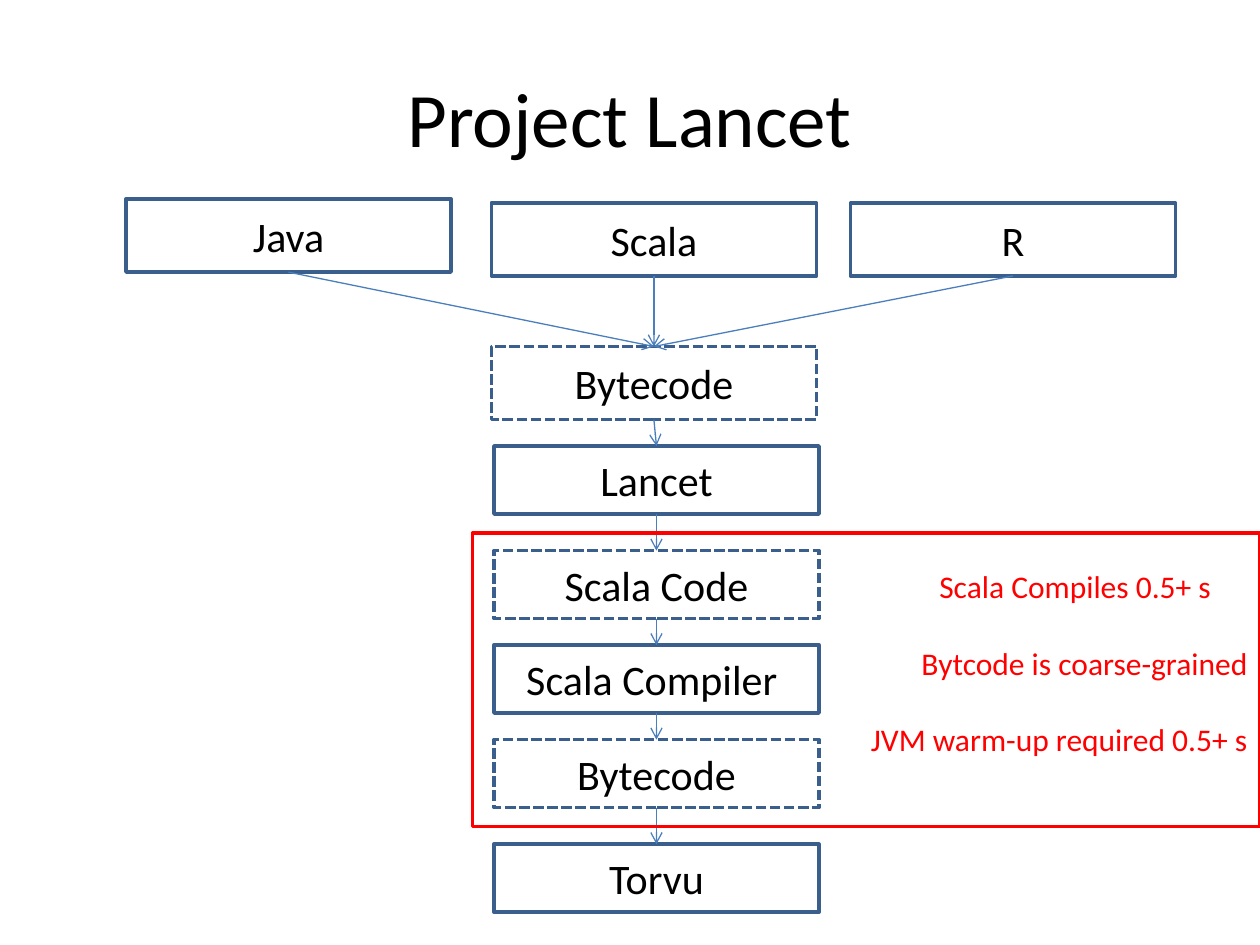
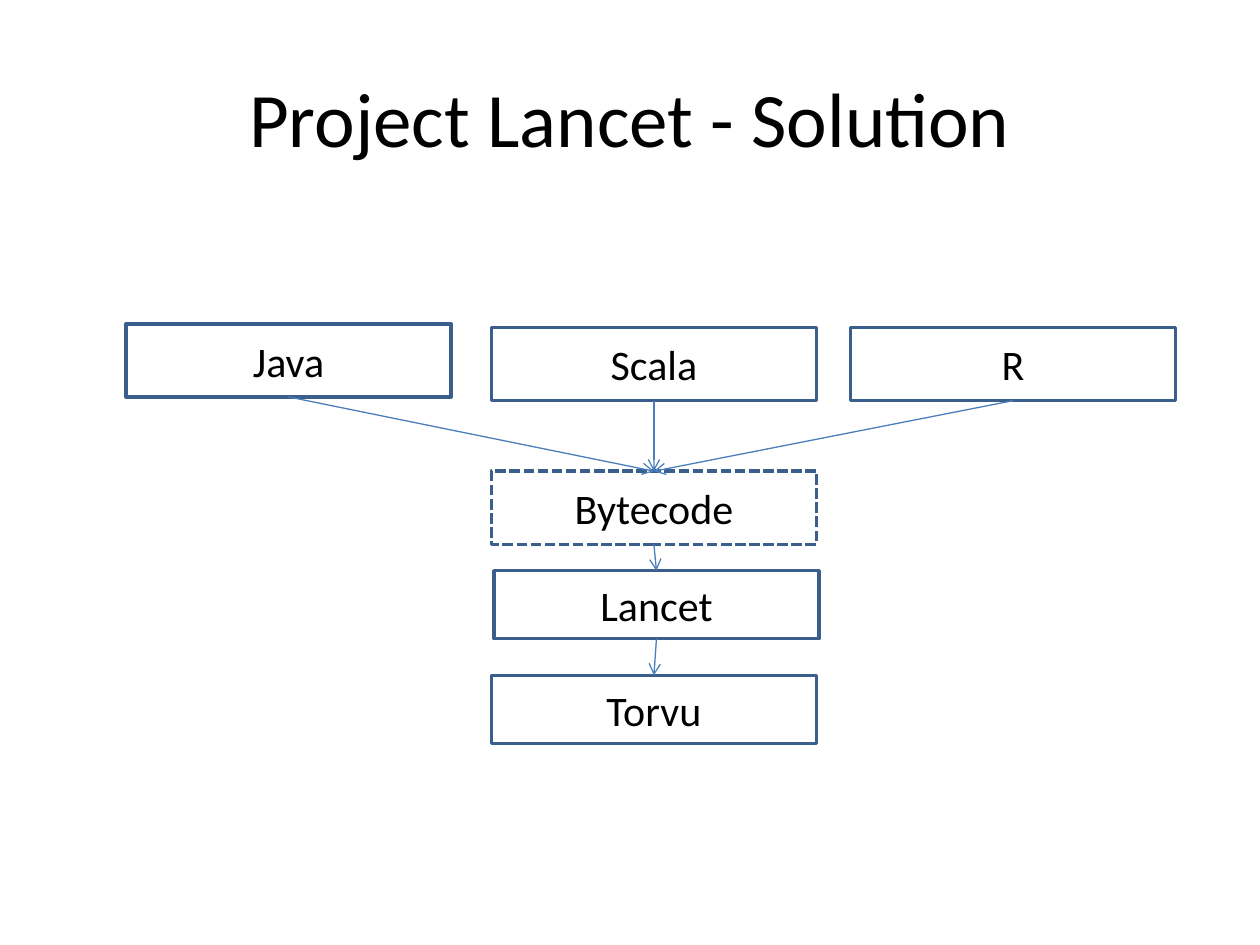
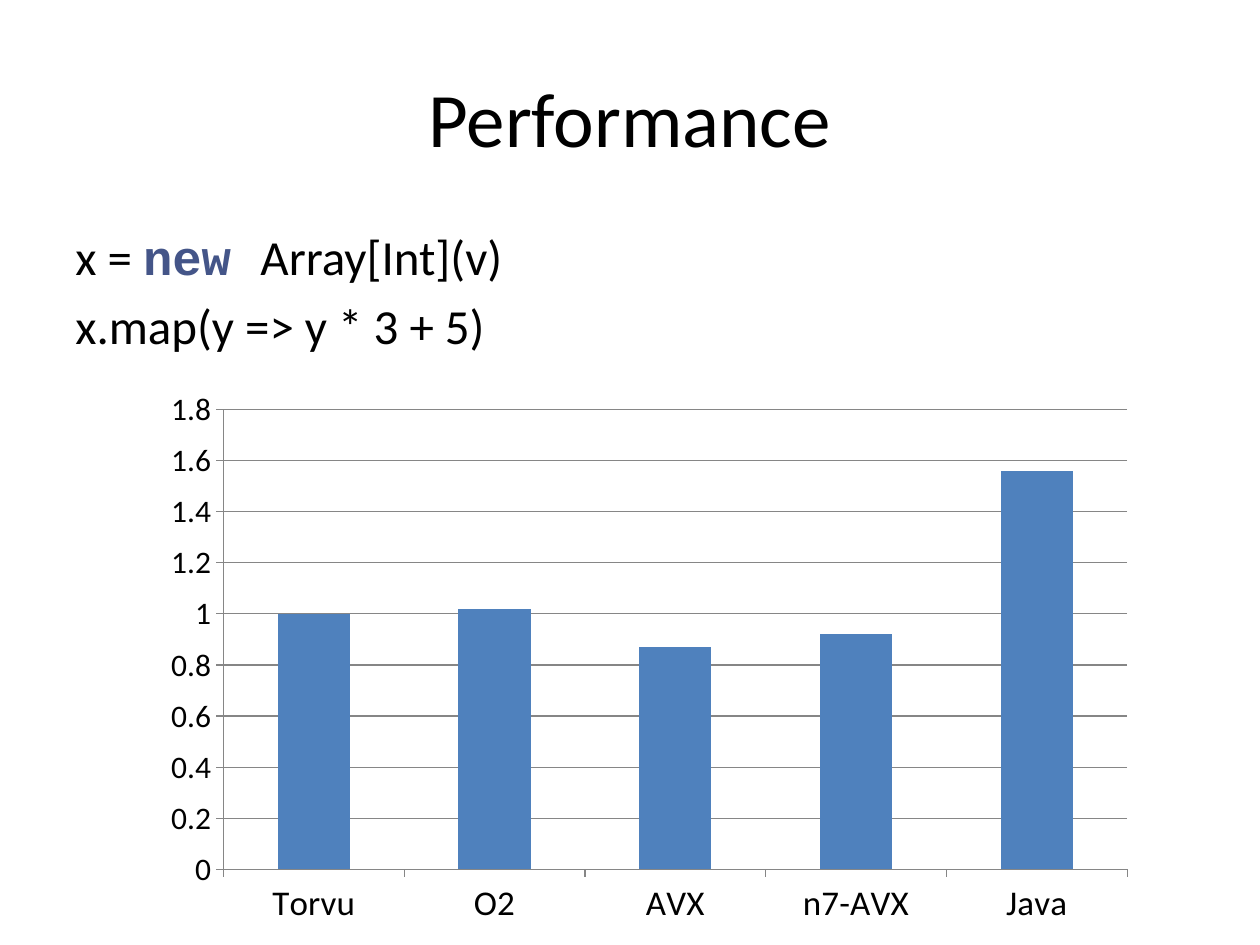
"""Build three slides on a compiler pipeline and its speed."""
from lxml.etree import SubElement
from pptx import Presentation
from pptx.chart.data import CategoryChartData
from pptx.dml.color import RGBColor
from pptx.enum.chart import XL_CHART_TYPE, XL_TICK_MARK
from pptx.enum.dml import MSO_LINE
from pptx.enum.shapes import MSO_CONNECTOR, MSO_SHAPE
from pptx.enum.text import MSO_ANCHOR, PP_ALIGN
from pptx.oxml import parse_xml
from pptx.oxml.ns import nsdecls, qn
from pptx.util import Inches, Pt

FONT, MONO = "Calibri", "Courier New"
BLACK, EDGE, ARROW, RED = "000000", "3A5F8C", "4B7EBC", "FF0000"
CODE, BAR, GRID = "445588", "4F81BD", "868686"
WIDE, TALL, LOW = 2.58, 0.58, 0.54
NEAR, FAR = 0.21, 0.29

LANGS = [("Java", 1, 0), ("Scala", 3.9, 0.03), ("R", 6.75, 0.03)]
FLOWS = [
    ("Project Lancet", 1.58, [
        ("Lancet", 3.92, NEAR, False),
        ("Scala Code", 3.92, FAR, True),
        ("Scala Compiler ", 3.92, NEAR, False),
        ("Bytecode", 3.92, NEAR, True),
        ("Torvu", 3.92, FAR, False),
    ]),
    ("Project Lancet - Solution", 2.57, [
        ("Lancet", 3.9 + 0.02, NEAR, False),
        ("Torvu", 3.9, FAR, False),
    ]),
]
NOTES = [("Scala Compiles 0.5+ s", 0.29),
         ("Bytcode is coarse-grained", 0),
         ("JVM warm-up required 0.5+ s", 0)]
LINES = [
    [("x = ", FONT, BLACK, False), ("new ", MONO, CODE, True),
     ("Array[Int](v)", FONT, BLACK, False)],
    [("x.map(y => y * 3 + 5)", FONT, BLACK, False)],
]
SPEEDS = {"Torvu": 1, "O2": 1.02, "AVX": 0.87, "n7-AVX": 0.92, "Java": 1.56}
PLOT = {"x": 0.065, "y": 0.075, "w": 0.89, "h": 0.833}


def tint(code):
    return RGBColor.from_string(code)


def style(font, size, color=BLACK, face=FONT, bold=False):
    font.name, font.size, font.bold = face, Pt(size), bold
    font.color.rgb = tint(color)


def write(para, text, size, color=BLACK, face=FONT, bold=False):
    run = para.add_run()
    run.text = text
    style(run.font, size, color, face, bold)


def start(deck, text):
    slide = deck.slides.add_slide(deck.slide_layouts[5])
    title = slide.shapes.title
    title.left, title.top = Inches(0.5), Inches(0.3)
    title.width, title.height = Inches(9), Inches(1.25)
    frame = title.text_frame
    frame.vertical_anchor = MSO_ANCHOR.MIDDLE
    para = frame.paragraphs[0]
    para.alignment = PP_ALIGN.CENTER
    write(para, text, 44)
    return slide


def outline(slide, x, y, wide, high, color, dash=False):
    shape = slide.shapes.add_shape(MSO_SHAPE.RECTANGLE, Inches(x), Inches(y),
                                   Inches(wide), Inches(high))
    shape.shadow.inherit = False
    shape.fill.background()
    shape.line.color.rgb = tint(color)
    shape.line.width = Pt(2)
    if dash:
        shape.line.dash_style = MSO_LINE.SQUARE_DOT
    shape.text_frame.word_wrap = True
    shape.text_frame.vertical_anchor = MSO_ANCHOR.MIDDLE
    return shape


def box(slide, text, x, y, high, dash=False):
    shape = outline(slide, x, y, WIDE, high, EDGE, dash)
    para = shape.text_frame.paragraphs[0]
    para.alignment = PP_ALIGN.CENTER
    write(para, text, 24)
    return shape


def link(slide, above, below):
    line = slide.shapes.add_connector(MSO_CONNECTOR.STRAIGHT, 0, 0, 0, 0)
    line.begin_connect(above, 2)
    line.end_connect(below, 0)
    line.line.color.rgb = tint(ARROW)
    line.line.width = Pt(0.75)
    SubElement(line.line._get_or_add_ln(), qn("a:tailEnd"), type="arrow")
    SubElement(line._element.spPr, qn("a:effectLst"))


def flow(deck, title, top, steps):
    slide = start(deck, title)
    langs = [box(slide, name, x, top + drop, TALL) for name, x, drop in LANGS]
    y = top + 1.17
    last = box(slide, "Bytecode", 3.9, y, TALL, True)
    pairs = [(lang, last) for lang in langs]
    y += TALL
    for name, x, gap, dash in steps:
        y += gap
        step = box(slide, name, x, y, LOW, dash)
        pairs.append((last, step))
        last = step
        y += LOW
    for above, below in pairs:
        link(slide, above, below)
    return slide


def remark(slide):
    frame = outline(slide, 3.75, 4.23, 6.25, 2.33, RED).text_frame
    frame.margin_bottom = Inches(0.32)
    for i, (text, inset) in enumerate(NOTES):
        para = frame.add_paragraph() if i else frame.paragraphs[0]
        para.alignment = PP_ALIGN.RIGHT
        para.space_before = Pt(22 if i else 0)
        para._p.get_or_add_pPr().set("marR", str(Inches(inset)))
        write(para, text, 18, RED)


def code(slide):
    frame = slide.shapes.add_textbox(Inches(0.5), Inches(1.75),
                                     Inches(9), Inches(1.33)).text_frame
    frame.word_wrap = True
    for i, parts in enumerate(LINES):
        para = frame.add_paragraph() if i else frame.paragraphs[0]
        para.space_before = Pt(5.6)
        for text, face, color, bold in parts:
            write(para, text, 28, color, face, bold)


def graph(slide):
    data = CategoryChartData()
    data.categories = list(SPEEDS)
    data.add_series("Series 1", list(SPEEDS.values()))
    chart = slide.shapes.add_chart(
        XL_CHART_TYPE.COLUMN_CLUSTERED, Inches(1.25), Inches(2.92),
        Inches(8.06), Inches(4.42), data).chart
    chart.has_legend = chart.has_title = False
    style(chart.font, 10)
    plot = chart.plots[0]
    plot.gap_width, plot.vary_by_categories = 150, False
    fill = plot.series[0].format.fill
    fill.solid()
    fill.fore_color.rgb = tint(BAR)
    for axis, size in ((chart.category_axis, 20), (chart.value_axis, 18)):
        style(axis.tick_labels.font, size)
        axis.major_tick_mark = XL_TICK_MARK.OUTSIDE
        axis.minor_tick_mark = XL_TICK_MARK.NONE
        axis.format.line.color.rgb = tint(GRID)
    axis = chart.value_axis
    axis.minimum_scale, axis.maximum_scale, axis.major_unit = 0, 1.8, 0.2
    axis.has_major_gridlines = True
    axis.major_gridlines.format.line.color.rgb = tint(GRID)
    area = chart._chartSpace.chart.plotArea
    for old in area.findall(qn("c:layout")):
        area.remove(old)
    marks = '<c:layoutTarget val="inner"/>'
    marks += '<c:xMode val="edge"/><c:yMode val="edge"/>'
    marks += "".join(f'<c:{key} val="{val}"/>' for key, val in PLOT.items())
    area.insert(0, parse_xml(
        f'<c:layout {nsdecls("c")}><c:manualLayout>{marks}'
        '</c:manualLayout></c:layout>'))


deck = Presentation()
deck.slide_width, deck.slide_height = Inches(10), Inches(7.5)
pages = [flow(deck, *item) for item in FLOWS]
remark(pages[0])
page = start(deck, "Performance")
code(page)
graph(page)
deck.save("out.pptx")
